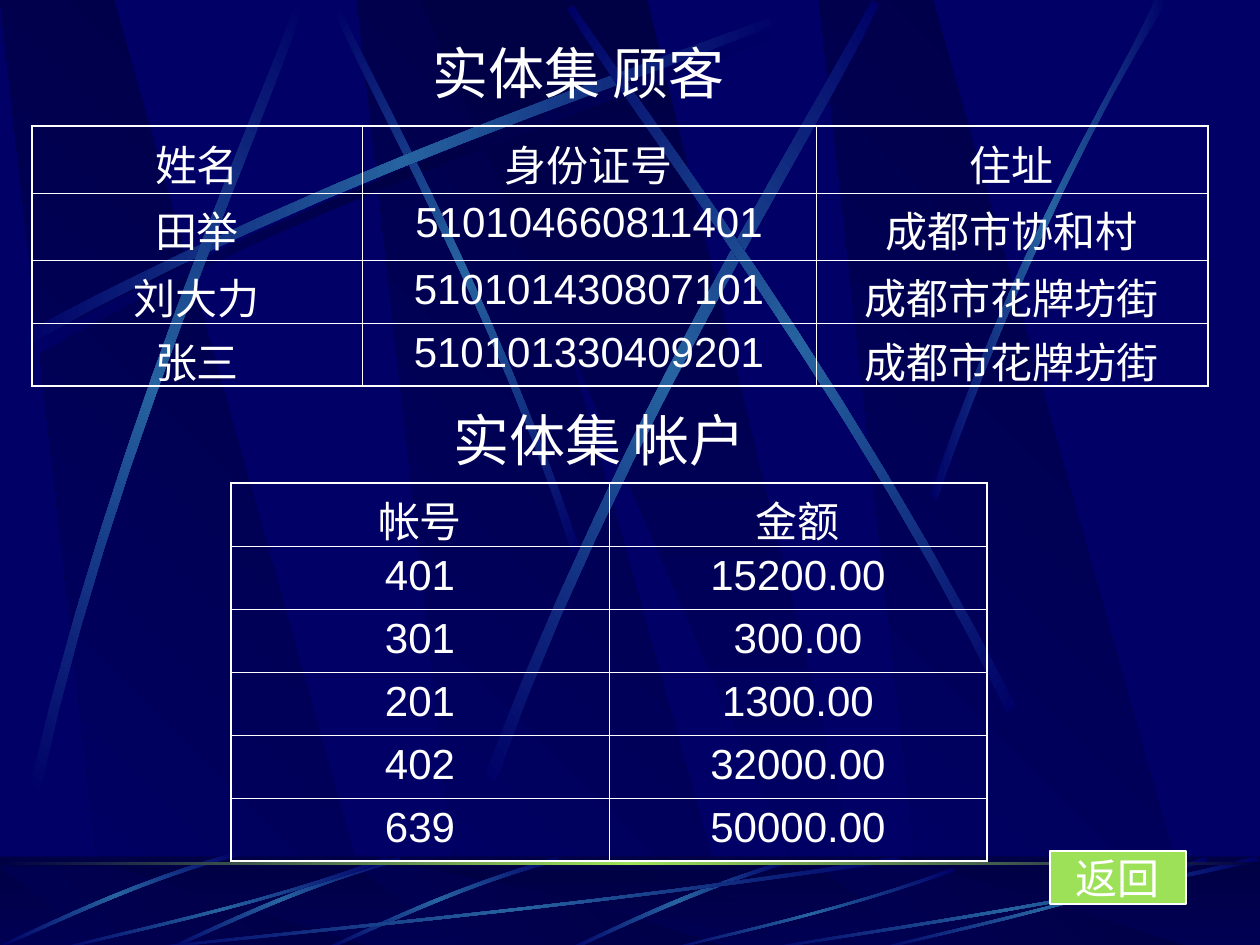
"""Build the slide showing the customer and account entity sets."""
from lxml.etree import SubElement
from pptx import Presentation
from pptx.dml.color import RGBColor
from pptx.enum.shapes import MSO_SHAPE
from pptx.enum.text import MSO_ANCHOR, PP_ALIGN
from pptx.oxml.ns import qn
from pptx.util import Emu, Pt

PX = 914400 // 126
WHITE = RGBColor(0xFF, 0xFF, 0xFF)
NAVY = RGBColor(0x00, 0x00, 0x66)
DARK = RGBColor(0x00, 0x00, 0x44)
STEEL = RGBColor(0x26, 0x63, 0xA0)
LIME = RGBColor(0x9C, 0xE1, 0x57)
SHADE, BEAM, SHADOW, GLOW = (DARK, NAVY), (NAVY, STEEL, NAVY), (NAVY, DARK, NAVY), (DARK, LIME, DARK)

HEADINGS = [("实体集 顾客", (420, 32, 410, 81)), ("实体集 帐户", (441, 399, 420, 81))]
CUSTOMERS = [
    ("姓名", "身份证号", "住址"),
    ("田举", "510104660811401", "成都市协和村"),
    ("刘大力", "510101430807101", "成都市花牌坊街"),
    ("张三", "510101330409201", "成都市花牌坊街"),
]
ACCOUNTS = [
    ("帐号", "金额"),
    ("401", "15200.00"),
    ("301", "300.00"),
    ("201", "1300.00"),
    ("402", "32000.00"),
    ("639", "50000.00"),
]
TABLES = [
    (CUSTOMERS, (32, 126), (330, 454, 392), (67, 67, 63, 63)),
    (ACCOUNTS, (231, 483), (378, 378), (63,) * 6),
]
BACK = ("返回", (1050, 851, 136, 53))

SLANT = [(0.28, 1), (1, 1), (0.3, 0), (0, 0)]
WEDGE = [(0, 0), (0.9, 1), (1, 1), (0.5, 0)]
PANELS = [(SLANT, 357, 380, 135), (SLANT, 0, 380, 135), (SLANT, 819, 380, 135), (WEDGE, 420, 455, 90)]
UPPER, LOWER = (0, 947), (867, 83)

STREAKS = [
    (SHADOW, 0, [(25, 347), (358, 169), (660, 74), (789, 23)],
     [(793, 30), (665, 87), (320, 190), (29, 359)]),
    (BEAM, 45, [(580, 549), (493, 295), (381, 97), (339, 6)],
     [(333, 9), (372, 100), (501, 325), (572, 553)]),
    (BEAM, 0, [(18, 336), (350, 158), (653, 64), (781, 13)],
     [(785, 20), (658, 77), (312, 180), (21, 349)]),
    (BEAM, 312, [(29, 788), (117, 421), (248, 132), (296, 3)],
     [(304, 5), (261, 136), (108, 464), (40, 793)]),
    (BEAM, 322, [(485, 774), (627, 403), (804, 129), (872, 0)],
     [(879, 5), (818, 136), (612, 447), (496, 782)]),
    (BEAM, 35, [(1016, 706), (844, 369), (650, 120), (573, 5)],
     [(567, 9), (639, 127), (863, 410), (1007, 713)]),
    (BEAM, 0, [(930, 495), (1026, 218), (1119, 83), (1155, 0)],
     [(1168, 0), (1053, 183), (969, 406), (937, 500)]),
]
FLOOR_STREAK = ([(790, 859), (677, 893), (601, 935), (564, 950)],
                [(571, 951), (617, 929), (719, 882), (791, 863)])
ARC = ([(557, 857), (447, 888), (362, 932), (323, 949)],
       [(324, 951), (363, 936), (460, 886), (559, 861)])
ARC_SHIFTS = [(0, 0), (-158, 0), (-321, -5)]
SWEEP = ([(1, 0.04), (0.57, 0.57), (0.17, 0.85), (0.01, 1)],
         [(0, 0.99), (0.17, 0.81), (0.62, 0.51), (0.99, 0)])
SWEEP_BOXES = [(126, 857, 777, 94), (53, 857, 336, 94), (664, 868, 291, 83),
               (872, 857, 336, 94), (756, 857, 504, 94)]

deck = Presentation()
deck.slide_width, deck.slide_height = Emu(1260 * PX), Emu(945 * PX)
slide = deck.slides.add_slide(deck.slide_layouts[6])
slide.background.fill.solid()
slide.background.fill.fore_color.rgb = NAVY


def emu(lengths):
    return [Emu(round(length * PX)) for length in lengths]


def write(frame, text, font="Times New Roman", size=24, align=None, before=None):
    paragraph = frame.paragraphs[0]
    paragraph.alignment = align
    paragraph.space_before = before
    run = paragraph.add_run()
    run.text = text
    run.font.name, run.font.size, run.font.color.rgb = font, Pt(size), WHITE


def blend(shape, colors, angle):
    shape.shadow.inherit = False
    shape.line.fill.background()
    shape.fill.gradient()
    gradient = shape.fill._xPr.find(qn("a:gradFill"))
    stops = gradient.find(qn("a:gsLst"))
    for stop in list(stops):
        stops.remove(stop)
    for index, color in enumerate(colors):
        position = 100000 * index // (len(colors) - 1)
        stop = SubElement(stops, qn("a:gs"), pos=str(position))
        SubElement(stop, qn("a:srgbClr"), val=str(color))
    gradient.find(qn("a:lin")).set("ang", str(angle * 60000))


def outline(points, colors, angle):
    (left, top), *others = [(x * PX, y * PX) for x, y in points]
    builder = slide.shapes.build_freeform(round(left), round(top))
    builder.add_line_segments([(round(x), round(y)) for x, y in others], close=True)
    blend(builder.convert_to_shape(), colors, angle)


def fit(points, left, top, width, height):
    return [(left + x * width, top + y * height) for x, y in points]


def curve(controls, steps=12):
    for step in range(steps + 1):
        t = step / steps
        weights = ((1 - t) ** 3, 3 * t * (1 - t) ** 2, 3 * t * t * (1 - t), t ** 3)
        yield tuple(sum(w * c for w, c in zip(weights, axis)) for axis in zip(*controls))


def streak(edges, colors=BEAM, angle=0):
    outline([point for edge in edges for point in curve(edge)], colors, angle)


def panels(top, height):
    for form, left, width, angle in PANELS:
        outline(fit(form, left, top, width, height), SHADE, angle)


def rectangle(*box):
    shape = slide.shapes.add_shape(MSO_SHAPE.RECTANGLE, *emu(box))
    shape.shadow.inherit = False
    return shape


def border(cell, edges):
    properties = cell._tc.get_or_add_tcPr()
    for index, (side, outer) in enumerate(edges):
        line = SubElement(properties, qn(f"a:ln{side}"), w=str(Pt(1.08 if outer else 0.45)))
        SubElement(SubElement(line, qn("a:solidFill")), qn("a:srgbClr"), val=str(WHITE))
        properties.insert(index, line)


def entity_table(records, corner, widths, heights):
    rows, columns = len(heights), len(widths)
    box = emu((*corner, sum(widths), sum(heights)))
    table = slide.shapes.add_table(rows, columns, *box).table
    table.first_row = table.horz_banding = False
    for column, width in zip(table.columns, emu(widths)):
        column.width = width
    for row, height in zip(table.rows, emu(heights)):
        row.height = height
    for r, record in enumerate(records):
        for c, value in enumerate(record):
            cell = table.cell(r, c)
            cell.fill.background()
            border(cell, [("L", c == 0), ("R", c == columns - 1), ("T", r == 0), ("B", r == rows - 1)])
            write(cell.text_frame, value, font="Arial", align=PP_ALIGN.CENTER, before=Pt(6))


panels(*UPPER)
for colors, angle, *edges in STREAKS:
    streak(edges, colors, angle)

blend(rectangle(0, 857, 1260, 88), SHADE, 90)
panels(*LOWER)
haze = rectangle(0, 856, 1260, 89)
haze.line.fill.background()
haze.fill.solid()
haze.fill.fore_color.rgb = DARK
SubElement(haze.fill._xPr.find(qn("a:solidFill"))[0], qn("a:alpha"), val="50000")

streak(FLOOR_STREAK)
for dx, dy in ARC_SHIFTS:
    streak([fit(edge, dx, dy, 1, 1) for edge in ARC], angle=315)
for box in SWEEP_BOXES:
    streak([fit(edge, *box) for edge in SWEEP])
blend(rectangle(0, 862, 1260, 3), GLOW, 0)

for text, box in HEADINGS:
    heading = slide.shapes.add_textbox(*emu(box)).text_frame
    heading.word_wrap = True
    write(heading, text, size=32)
for entity_set in TABLES:
    entity_table(*entity_set)

label, box = BACK
back = rectangle(*box)
back.fill.solid()
back.fill.fore_color.rgb = LIME
back.line.color.rgb, back.line.width = WHITE, Pt(0.74)
back.text_frame.word_wrap = False
back.text_frame.vertical_anchor = MSO_ANCHOR.MIDDLE
write(back.text_frame, label, align=PP_ALIGN.CENTER)

deck.save("out.pptx")
